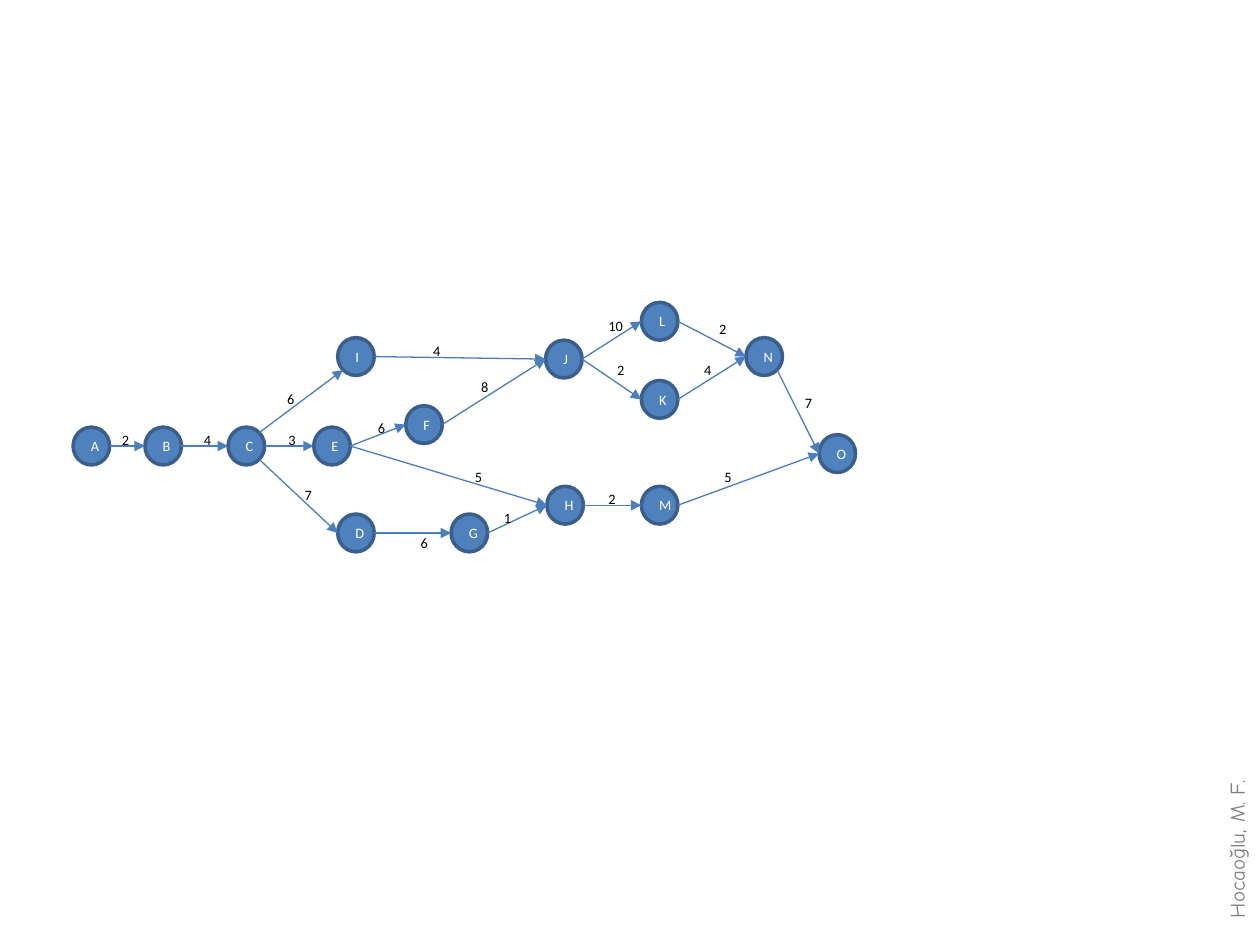
from math import cos, radians, sin

from lxml.etree import SubElement
from pptx import Presentation
from pptx.dml.color import RGBColor
from pptx.enum.shapes import MSO_CONNECTOR as Connector, MSO_SHAPE as Shape
from pptx.enum.text import MSO_ANCHOR as Anchor, MSO_AUTO_SIZE as AutoSize, PP_ALIGN as Align
from pptx.oxml.ns import qn
from pptx.util import Pt

EMU_PER_PX = 9144
COLORS = {
    "node": "4F81BD",
    "ring": "3A5F8C",
    "arrow": "4B7EBC",
    "letter": "FFFFFF",
    "weight": "000000",
    "author": "808080",
}
NODE_W, NODE_H = 29, 30
WEIGHT_W, WEIGHT_H, EXTRA_DIGIT_W = 26, 24, 6

NODES = {
    "A": (0, 99), "B": (57, 99), "C": (123, 99), "D": (210, 168), "E": (191, 99),
    "F": (264, 82), "G": (300, 168), "H": (376, 146), "I": (210, 28), "J": (375, 30),
    "K": (451, 62), "L": (451, 0), "M": (451, 146), "N": (534, 28), "O": (592, 105),
}
EDGES = {
    "AB": ("2", 29, 97), "BC": ("4", 94, 97), "CI": ("6", 160, 65),
    "CD": ("7", 174, 141), "CE": ("3", 161, 97), "EF": ("6", 232, 88),
    "EH": ("5", 309, 127), "DG": ("6", 266, 179), "GH": ("1", 332, 159),
    "IJ": ("4", 276, 27), "FJ": ("8", 314, 55), "JL": ("10", 415, 7),
    "JK": ("2", 422, 42), "LN": ("2", 503, 9), "KN": ("4", 491, 42),
    "HM": ("2", 415, 144), "MO": ("5", 507, 127), "NO": ("7", 571, 68),
}
RIGHT, LEFT = 0, 180
DIAGONAL_ENDS = {"CI": (-45, 135), "CD": (45, LEFT), "NO": (45, LEFT)}


def px(*lengths):
    return [round(length * EMU_PER_PX) for length in lengths]


def color(name):
    return RGBColor.from_string(COLORS[name])


def style_text(paragraph, text, face, size, color_name):
    paragraph.text = text
    paragraph.font.name = face
    paragraph.font.size = Pt(size)
    paragraph.font.color.rgb = color(color_name)


def add_label(slide, box, text, face, size, color_name):
    label = slide.shapes.add_textbox(*px(*box))
    frame = label.text_frame
    frame.word_wrap = False
    frame.auto_size = AutoSize.SHAPE_TO_FIT_TEXT
    style_text(frame.paragraphs[0], text, face, size, color_name)
    return label


def add_node(slide, left, top, letter):
    node = slide.shapes.add_shape(Shape.OVAL, *px(left, top, NODE_W, NODE_H))
    node.shadow.inherit = False
    node.fill.solid()
    node.fill.fore_color.rgb = color("node")
    node.line.color.rgb = color("ring")
    node.line.width = Pt(2)
    frame = node.text_frame
    frame.word_wrap = True
    frame.vertical_anchor = Anchor.MIDDLE
    frame.paragraphs[0].alignment = Align.CENTER
    style_text(frame.paragraphs[0], letter, "Calibri", 8.2, "letter")


def rim_point(left, top, angle):
    turn = radians(angle)
    return left + NODE_W / 2 * (1 + cos(turn)), top + NODE_H / 2 * (1 + sin(turn))


def add_arrow(slide, start, end):
    arrow = slide.shapes.add_connector(Connector.STRAIGHT, *px(*start, *end))
    arrow.line.color.rgb = color("arrow")
    arrow.line.width = Pt(0.75)
    SubElement(arrow.line._get_or_add_ln(), qn("a:tailEnd"), type="triangle")
    SubElement(arrow._element.spPr, qn("a:effectLst"))


def add_network(slide, left, top):
    places = {letter: (left + x, top + y) for letter, (x, y) in NODES.items()}
    for letter, place in places.items():
        add_node(slide, *place, letter)
    for edge in EDGES:
        leave, arrive = DIAGONAL_ENDS.get(edge, (RIGHT, LEFT))
        source, target = edge
        add_arrow(slide, rim_point(*places[source], leave), rim_point(*places[target], arrive))
    for weight, x, y in EDGES.values():
        width = WEIGHT_W + EXTRA_DIGIT_W * (len(weight) - 1)
        add_label(slide, (left + x, top + y, width, WEIGHT_H), weight, "Calibri", 8.2, "weight")


def add_author(slide, box):
    author = add_label(slide, box, "Hocaoğlu, M. F.", "Comic Neue", 12, "author")
    author.rotation = 270


def main():
    deck = Presentation()
    deck.slide_width, deck.slide_height = px(1000, 750)
    slide = deck.slides.add_slide(deck.slide_layouts[6])
    add_author(slide, (900, 642, 163, 30))
    add_network(slide, 58, 240)
    deck.save("out.pptx")


if __name__ == "__main__":
    main()
